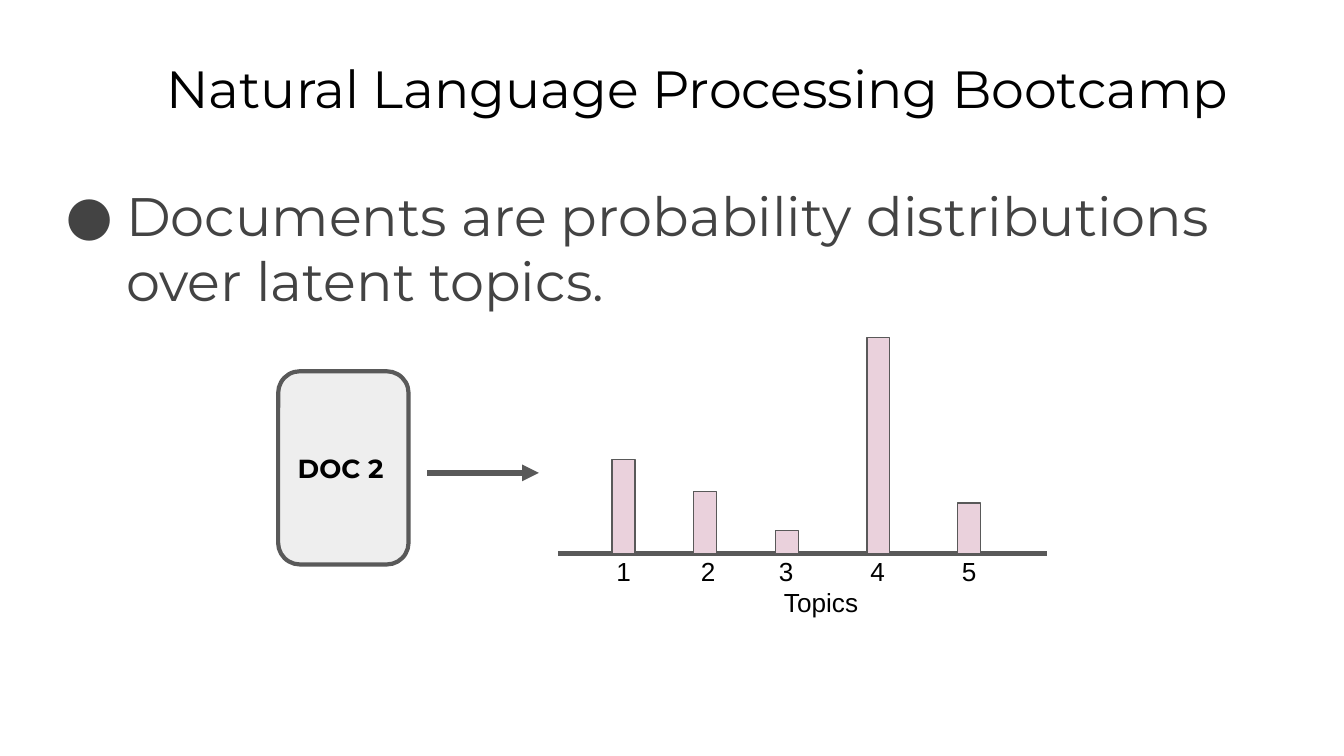
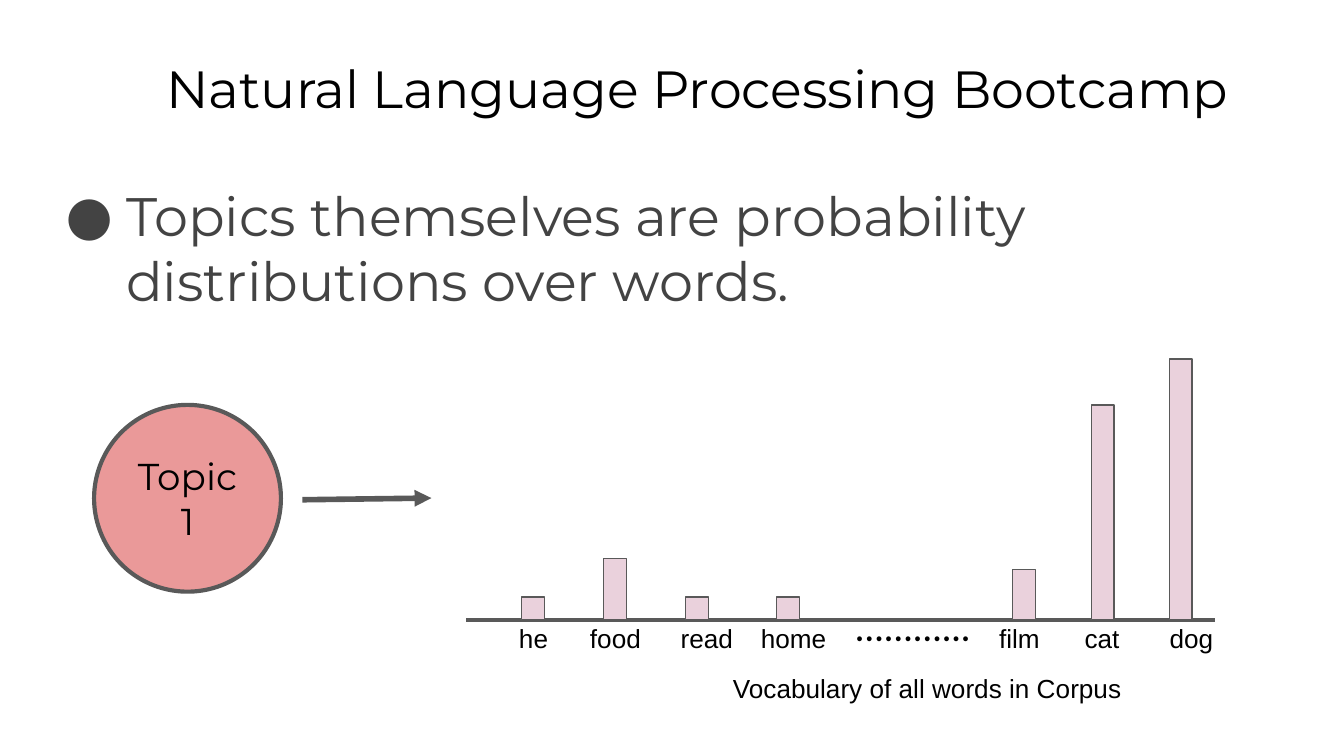
from lxml import etree
from pptx import Presentation
from pptx import util as u
from pptx.dml.color import RGBColor
from pptx.enum import shapes, text
from pptx.oxml import ns

COLORS = {
    "paper": "FFFFFF", "ink": "000000", "body": "434343", "outline": "595959",
    "bar": "EAD1DC", "document": "EEEEEE", "topic": "EA9999",
}
FORMATS = {
    "title": {"name": "Montserrat", "size": u.Pt(28)},
    "statement": {"name": "Montserrat", "size": u.Pt(29)},
    "document": {"name": "Montserrat", "size": u.Pt(14), "bold": True},
    "topic": {"name": "Montserrat", "size": u.Pt(20)},
    "ellipsis": {"name": "Montserrat", "size": u.Pt(24)},
    "label": {"name": "Arial", "size": u.Pt(14)},
}
LEFT, CENTER = text.PP_ALIGN.LEFT, text.PP_ALIGN.CENTER
TOP, MIDDLE = text.MSO_ANCHOR.TOP, text.MSO_ANCHOR.MIDDLE
ROUNDED, OVAL = shapes.MSO_SHAPE.ROUNDED_RECTANGLE, shapes.MSO_SHAPE.OVAL

deck = Presentation()
deck.slide_width = u.Inches(10)
deck.slide_height = deck.slide_width * 9 // 16
COL, ROW = deck.slide_width / 100, deck.slide_height / 45
BAR_WIDTH, LABEL_HEIGHT, LABEL_RISE = 1.7, 2.96, 0.68


def place(slide, box, fill=None, preset=None, weight=2.25):
    cells = [round(n * unit) for n, unit in zip(box, (COL, ROW, COL, ROW))]
    if preset is None:
        return slide.shapes.add_textbox(*cells)
    figure = slide.shapes.add_shape(preset, *cells)
    figure.shadow.inherit = False
    figure.fill.solid()
    figure.fill.fore_color.rgb = RGBColor.from_string(COLORS[fill])
    figure.line.color.rgb = RGBColor.from_string(COLORS["outline"])
    figure.line.width = u.Pt(weight)
    return figure


def write(holder, words, style, align=CENTER, anchor=TOP, color="ink"):
    frame = holder.text_frame
    margins = {f"margin_{side}": u.Inches(0.1) for side in ("left", "right", "top", "bottom")}
    for key, value in {"word_wrap": True, "vertical_anchor": anchor, **margins}.items():
        setattr(frame, key, value)
    paragraph = frame.paragraphs[0]
    paragraph.alignment = align
    run = paragraph.add_run()
    run.text = words
    run.font.color.rgb = RGBColor.from_string(COLORS[color])
    for key, value in FORMATS[style].items():
        setattr(run.font, key, value)
    return paragraph


lessons = [
    {
        "statement": "Documents are probability distributions over latent topics.",
        "source": ("DOC 2", "document", ROUNDED, (20.7, 22.1, 9.7, 11.5), LEFT),
        "arrow": (31.8, 28.15, 40.1, 28.15),
        "axis": (41.5, 77.9, 32.95),
        "bars": [
            {"word": "1", "center": 46.4, "label": 46.4, "width": 4.4, "height": 5.6},
            {"word": "2", "center": 52.45, "label": 52.7, "width": 4.4, "height": 3.7},
            {"word": "3", "center": 58.55, "label": 58.5, "width": 4.4, "height": 1.36},
            {"word": "4", "center": 65.35, "label": 65.3, "width": 4.4, "height": 12.85},
            {"word": "5", "center": 72.1, "label": 72.1, "width": 4.4, "height": 3},
        ],
        "captions": [("Topics", "label", (52.1, 34.1, 18, 2.96))],
    },
    {
        "statement": "Topics themselves are probability distributions over words.",
        "source": ("Topic 1", "topic", OVAL, (7, 24.1, 13.9, 11.12), CENTER),
        "arrow": (22.5, 29.75, 32.1, 29.65),
        "axis": (34.7, 90.4, 36.9),
        "bars": [
            {"word": "he", "center": 39.65, "label": 39.7, "width": 4.4, "height": 1.36},
            {"word": "food", "center": 45.75, "label": 45.8, "width": 6, "height": 3.65},
            {"word": "read", "center": 51.85, "label": 52.6, "width": 6, "height": 1.36},
            {"word": "home", "center": 58.65, "label": 59.05, "width": 6.9, "height": 1.36},
            {"word": "film", "center": 76.2, "label": 75.85, "width": 5.1, "height": 2.98},
            {"word": "cat", "center": 82.05, "label": 82, "width": 6, "height": 12.8},
            {"word": "dog", "center": 87.85, "label": 88.65, "width": 6, "height": 15.52},
        ],
        "captions": [
            ("………...", "ellipsis", (62.5, 34.72, 10.8, 2.96)),
            ("Vocabulary of all words in Corpus", "label", (52.3, 39.2, 33.4, 2.96)),
        ],
    },
]

for lesson in lessons:
    slide = deck.slides.add_slide(deck.slide_layouts[6])
    slide.background.fill.solid()
    slide.background.fill.fore_color.rgb = RGBColor.from_string(COLORS["paper"])

    heading = place(slide, (11.4, 2.56, 85.2, 5.04))
    write(heading, "Natural Language Processing Bootcamp", "title", LEFT)

    statement = write(place(slide, (3.4, 10.08, 95, 29.92)), lesson["statement"],
                      "statement", LEFT, color="body")
    indent = statement._p.get_or_add_pPr()
    indent.set("marL", str(u.Inches(0.5)))
    indent.set("indent", str(u.Inches(-0.45)))
    bullet_color = etree.SubElement(indent, ns.qn("a:buClr"))
    etree.SubElement(bullet_color, ns.qn("a:srgbClr"), val=COLORS["body"])
    etree.SubElement(indent, ns.qn("a:buFont"), typeface=FORMATS["statement"]["name"])
    etree.SubElement(indent, ns.qn("a:buChar"), char="●")

    words, style, preset, box, align = lesson["source"]
    write(place(slide, box, style, preset), words, style, align, MIDDLE)

    start, end, baseline = lesson["axis"]
    for ends, weight, pointed in ((lesson["arrow"], 3, True),
                                  ((start, baseline, end, baseline), 2.25, False)):
        cells = [round(n * unit) for n, unit in zip(ends, (COL, ROW, COL, ROW))]
        stroke = slide.shapes.add_connector(shapes.MSO_CONNECTOR.STRAIGHT, *cells)
        stroke.line.color.rgb = RGBColor.from_string(COLORS["outline"])
        stroke.line.width = u.Pt(weight)
        if pointed:
            etree.SubElement(stroke.line._get_or_add_ln(), ns.qn("a:tailEnd"), type="triangle")
        etree.SubElement(stroke._element.spPr, ns.qn("a:effectLst"))

    for bar in lesson["bars"]:
        place(slide, (bar["center"] - BAR_WIDTH / 2, baseline - bar["height"],
                      BAR_WIDTH, bar["height"]),
              "bar", shapes.MSO_SHAPE.RECTANGLE, 0.75)
        label = place(slide, (bar["label"] - bar["width"] / 2, baseline - LABEL_RISE,
                              bar["width"], LABEL_HEIGHT))
        write(label, bar["word"], "label")

    for words, style, box in lesson["captions"]:
        write(place(slide, box), words, style)

deck.save("out.pptx")
